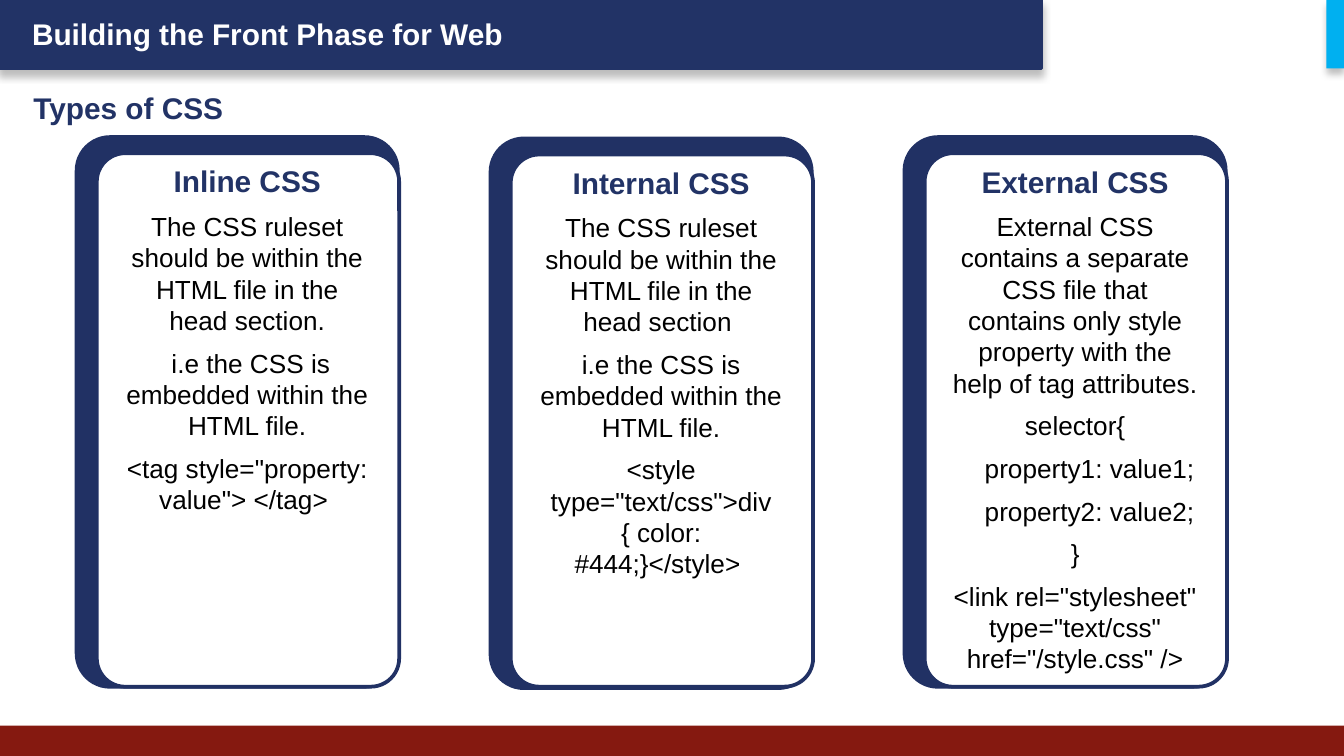
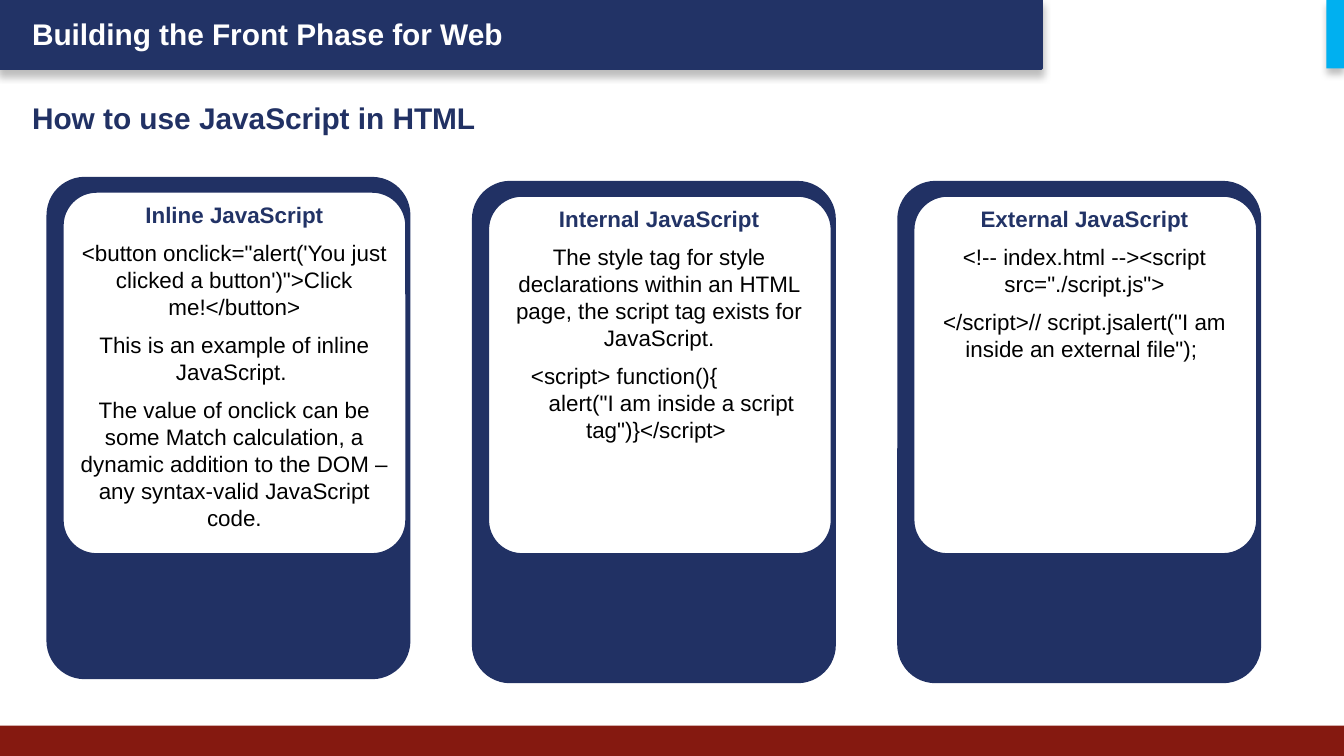
from lxml import etree
from pptx import Presentation
from pptx import util as u
from pptx.dml.color import RGBColor
from pptx.enum import shapes as kinds, text
from pptx.oxml.ns import qn

# The grid is square: 100 columns across the slide, 56.25 rows down it.
COLUMNS, ROWS = 100, 56.25
CELL = u.Inches(0.1)
TAB_STEP, TAB_COUNT = 6.36, 8

COLOURS = {
    "band": "223366",
    "card": "213164",
    "footer": "851910",
    "accent": "00B0F0",
    "white": "FFFFFF",
    "black": "000000",
}
TITLE = {"size": u.Pt(16), "name": "Arial", "bold": True}
BODY = {"name": "Arial", "bold": False}

CSS_STYLE = {
    "left": 5.7, "step": 30.8, "card": (23.9, 40.9), "radii": (0.104, 0.094),
    "panel_offset": (1.5, 1.2), "panel_width": 22.5, "panel_bottom": 51.1,
    "text_top": 1.45, "sizes": (16, 14), "grouped": True,
}
CSS_CARDS = [
    {"top": 10.2, "text": (2.5, 20.4, 27), "lines": [
        "Inline CSS",
        "The CSS ruleset should be within the HTML file in the head section.",
        " i.e the CSS is embedded within the HTML file.",
        '<tag style="property: value"> </tag> ',
    ]},
    {"top": 10.3, "text": (2.5, 20.4, 29.3), "lines": [
        "Internal CSS",
        "The CSS ruleset should be within the HTML file in the head section ",
        "i.e the CSS is embedded within the HTML file.",
        '<style type="text/css">div { color: #444;}</style> ',
    ]},
    {"top": 10.2, "text": (2.5, 20.4, 38.8), "lines": [
        "External CSS",
        "External CSS contains a separate CSS file that contains only style "
        "property with the help of tag attributes.",
        "selector{",
        "    property1: value1;",
        "    property2: value2;",
        "}",
        '<link rel="stylesheet" type="text/css" href="/style.css" />',
    ]},
]

SCRIPT_STYLE = {
    "left": 3.6, "step": 31.65, "card": (26.8, 37.1), "radii": (0.101, 0.101),
    "panel_offset": (1, 0.9), "panel_width": 25.7, "panel_bottom": 41.3,
    "text_top": 1.2, "sizes": (12, 12), "grouped": False,
}
SCRIPT_CARDS = [
    {"top": 13.3, "text": (1, 25.7, 25.7), "lines": [
        "Inline JavaScript",
        "<button onclick=\"alert('You just clicked a button')\">Click me!</button>",
        "This is an example of inline JavaScript. ",
        "The value of onclick can be some Match calculation, a dynamic addition "
        "to the DOM – any syntax-valid JavaScript code.",
    ]},
    {"top": 13.6, "text": (2.1, 23.4, 18.8), "lines": [
        "Internal JavaScript",
        "The style tag for style declarations within an HTML page, "
        "the script tag exists for JavaScript.",
        '<script> function(){\t    alert("I am inside a script tag")}</script> ',
    ]},
    {"top": 13.6, "text": (2.1, 23.4, 12.8), "lines": [
        "External JavaScript",
        '<!-- index.html --><script src="./script.js">',
        '</script>// script.jsalert("I am inside an external file"); ',
    ]},
]


def colour(name):
    return RGBColor.from_string(COLOURS[name])


def cells(*lengths):
    """Turn grid lengths into slide lengths."""
    return [u.Emu(round(length * CELL)) for length in lengths]


def add_block(owner, area, fill, line=None, radius=None):
    """Add a filled rectangle, rounded when a radius is given."""
    kind = kinds.MSO_SHAPE.RECTANGLE if radius is None else kinds.MSO_SHAPE.ROUNDED_RECTANGLE
    block = owner.add_shape(kind, *cells(*area))
    block.shadow.inherit = False
    block.fill.solid()
    block.fill.fore_color.rgb = colour(fill)
    if radius is not None:
        block.adjustments[0] = radius
    if line:
        block.line.color.rgb = colour(line)
        block.line.width = u.Pt(2)
    else:
        block.line.fill.background()
    return block


def drop_shadow(block):
    effects = block._element.spPr.find(qn("a:effectLst"))
    shadow = etree.SubElement(effects, qn("a:outerShdw"), blurRad=str(u.Pt(4)),
                              dist=str(u.Pt(3)), dir="5400000", algn="t", rotWithShape="0")
    tone = etree.SubElement(shadow, qn("a:srgbClr"), val=COLOURS["black"])
    etree.SubElement(tone, qn("a:alpha"), val="25000")


def add_tabs(para):
    stops = etree.SubElement(para._p.get_or_add_pPr(), qn("a:tabLst"))
    for number in range(1, TAB_COUNT + 1):
        position = cells(number * TAB_STEP)[0]
        etree.SubElement(stops, qn("a:tab"), pos=str(int(position)), algn="l")


def write(para, words, style, tone):
    span = para.add_run()
    span.text = words
    for key, value in style.items():
        setattr(span.font, key, value)
    span.font.color.rgb = colour(tone)


def add_box(owner, area):
    box = owner.add_textbox(*cells(*area))
    box.text_frame.word_wrap = True
    box.text_frame.auto_size = text.MSO_AUTO_SIZE.SHAPE_TO_FIT_TEXT
    return box.text_frame


def add_heading(page, words, area, tone, inset=0.5):
    frame = add_box(page.shapes, area)
    frame.margin_top = frame.margin_bottom = cells(inset)[0]
    write(frame.paragraphs[0], words, TITLE, tone)


def add_page(deck):
    """Add a blank page with the shared bands and title."""
    page = deck.slides.add_slide(deck.slide_layouts[6])
    drop_shadow(add_block(page.shapes, (0, 0, 77.5, 5.1), "band", "band"))
    add_block(page.shapes, (0, 54, COLUMNS, ROWS - 54), "footer")
    add_heading(page, "Building the Front Phase for Web", (1.4, 0.7, 53.9, 3.7), "white")
    drop_shadow(add_block(page.shapes, (98.7, 0, 1.3, 5.1), "accent"))
    return page


def add_card_text(owner, area, lines, sizes):
    frame = add_box(owner, area)
    for index, words in enumerate(lines):
        para = frame.add_paragraph() if index else frame.paragraphs[0]
        para.alignment = text.PP_ALIGN.CENTER
        if "\t" in words:
            add_tabs(para)
        if index:
            para.space_before = u.Pt(6)
            write(para, words, {**BODY, "size": u.Pt(sizes[1])}, "black")
        else:
            write(para, words, {**TITLE, "size": u.Pt(sizes[0])}, "band")


def add_cards(page, cards, style):
    """Place the cards at equal steps, each with a white panel and its text."""
    width, height = style["card"]
    card_radius, panel_radius = style["radii"]
    across, down = style["panel_offset"]
    for index, card in enumerate(cards):
        owner = page.shapes.add_group_shape().shapes if style["grouped"] else page.shapes
        left, top = style["left"] + index * style["step"], card["top"]
        add_block(owner, (left, top, width, height), "card", "card", card_radius)
        panel_top = top + down
        panel = (left + across, panel_top, style["panel_width"], style["panel_bottom"] - panel_top)
        add_block(owner, panel, "white", "card", panel_radius)
        indent, text_width, text_height = card["text"]
        area = (left + indent, top + style["text_top"], text_width, text_height)
        add_card_text(owner, area, card["lines"], style["sizes"])


def main():
    deck = Presentation()
    deck.slide_width, deck.slide_height = cells(COLUMNS, ROWS)

    css_page = add_page(deck)
    add_cards(css_page, CSS_CARDS, CSS_STYLE)
    add_heading(css_page, "Types of CSS", (1.5, 6.2, 21.8, 4.7), "band")

    script_page = add_page(deck)
    add_heading(script_page, "How to use JavaScript in HTML", (1.4, 6.4, 50.1, 3.5), "card", 1)
    add_cards(script_page, SCRIPT_CARDS, SCRIPT_STYLE)

    deck.save("out.pptx")


if __name__ == "__main__":
    main()
